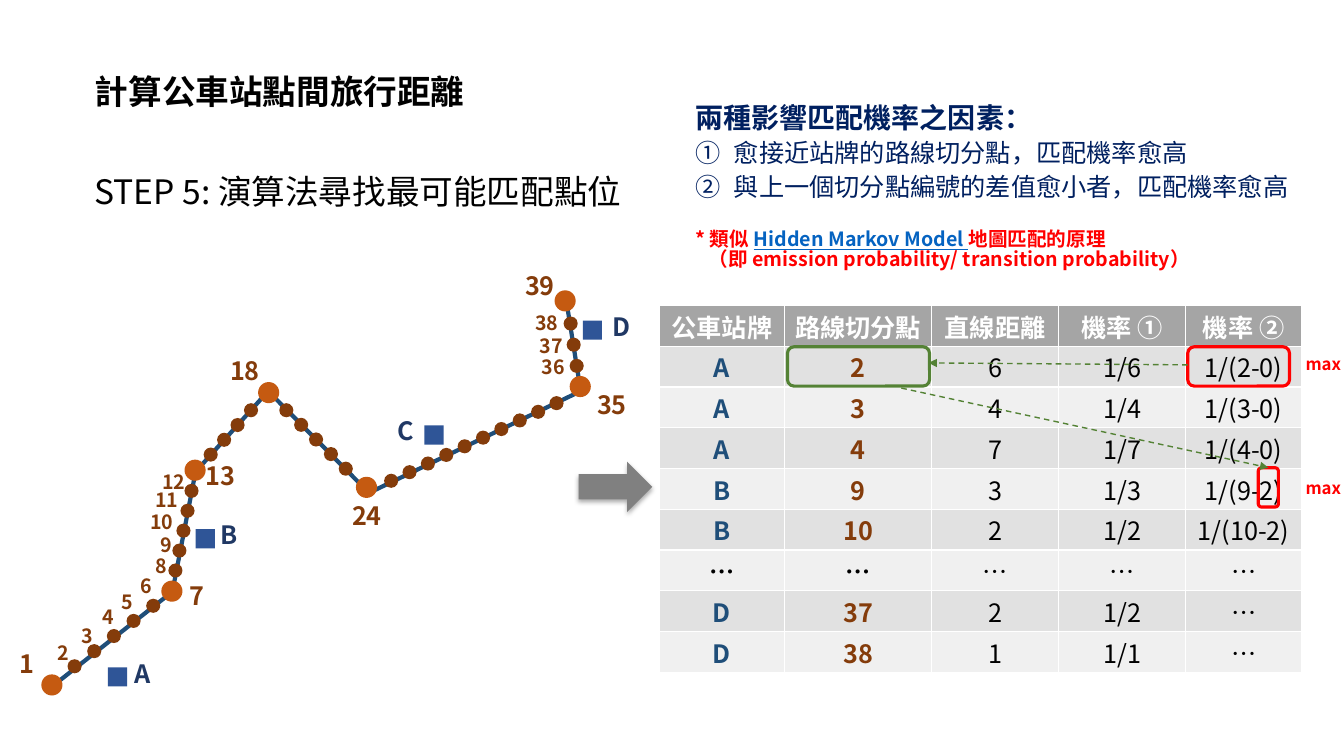
from dataclasses import dataclass

from lxml import etree
from pptx import Presentation
from pptx import util as u
from pptx.dml import color as colors
from pptx.enum import dml, shapes, text
from pptx.oxml import ns


@dataclass(frozen=True)
class Theme:
    font: str = "Noto Sans CJK SC"
    black: str = "000000"
    white: str = "FFFFFF"
    route: str = "1F4E79"
    node: str = "C55A11"
    point: str = "843C0B"
    stop: str = "2F5597"
    stop_label: str = "203864"
    navy: str = "002060"
    red: str = "FF0000"
    green: str = "548235"
    reference: str = "0563C1"
    arrow: str = "808080"
    header: str = "A5A5A5"
    bands: tuple = ("F0F0F0", "E1E1E1")
    heading: int = 24
    subheading: int = 20
    body: int = 18
    small: int = 14
    tiny: int = 12
    line_spacing: float = 0.84
    inset_top: float = 0.07
    inset_bottom: float = 0.03


def assign(target, values):
    for name, value in values.items():
        setattr(target, name, value)


def add_xml(parent, tag, **attributes):
    child = etree.SubElement(parent, ns.qn(tag))
    for name, value in attributes.items():
        child.set(name, str(value))
    return child


class SlideBuilder:
    def __init__(self, presentation, theme):
        self.theme = theme
        self.slide = presentation.slides.add_slide(presentation.slide_layouts[5])

    def place(self, shape, box):
        assign(shape, dict(zip(("left", "top", "width", "height"), map(u.Inches, box))))

    def add_runs(self, paragraph, runs, size, color, bold=False, align=text.PP_ALIGN.LEFT):
        assign(paragraph, {"alignment": align, "line_spacing": self.theme.line_spacing})
        for words, override in runs:
            style = {"size": size, "color": color, "bold": bold, "underline": False, **override}
            run = paragraph.add_run()
            run.text = words
            run.font.color.rgb = colors.RGBColor.from_string(style["color"])
            assign(run.font, {"name": self.theme.font, "size": u.Pt(style["size"]),
                              "bold": style["bold"], "underline": style["underline"]})
            add_xml(run.font._element, "a:ea", typeface=self.theme.font)

    def frame(self, shape, wrap=True):
        assign(shape.text_frame, {
            "word_wrap": wrap, "auto_size": text.MSO_AUTO_SIZE.SHAPE_TO_FIT_TEXT,
            "vertical_anchor": text.MSO_ANCHOR.TOP,
            "margin_left": u.Inches(0.1), "margin_right": u.Inches(0.1),
            "margin_top": u.Inches(self.theme.inset_top),
            "margin_bottom": u.Inches(self.theme.inset_bottom)})
        return shape.text_frame

    def title(self, box, words):
        shape = self.slide.shapes.title
        self.place(shape, box)
        paragraph = self.frame(shape, wrap=False).paragraphs[0]
        self.add_runs(paragraph, [(words, {})], self.theme.heading, self.theme.black, True)

    def text(self, box, paragraphs, size, color, **style):
        shape = self.slide.shapes.add_textbox(*map(u.Inches, box))
        frame = self.frame(shape)
        for index, runs in enumerate(paragraphs):
            paragraph = frame.add_paragraph() if index else frame.paragraphs[0]
            self.add_runs(paragraph, runs, size, color, **style)
        return frame.paragraphs

    def label(self, box, words, size, color):
        self.text(box, [[(words, {})]], size, color, bold=True, align=text.PP_ALIGN.CENTER)

    def shape(self, kind, box, fill=None, line=None):
        shape = self.slide.shapes.add_shape(kind, *map(u.Inches, box))
        shape.shadow.inherit = False
        if fill:
            shape.fill.solid()
            shape.fill.fore_color.rgb = colors.RGBColor.from_string(fill)
        else:
            shape.fill.background()
        if line:
            shape.line.color.rgb = colors.RGBColor.from_string(line)
            shape.line.width = u.Pt(2.25)
        else:
            shape.line.fill.background()
        return shape

    def line(self, start, end, color, width, arrow=False):
        points = map(u.Inches, (*start, *end))
        connector = self.slide.shapes.add_connector(shapes.MSO_CONNECTOR.STRAIGHT, *points)
        connector.line.color.rgb = colors.RGBColor.from_string(color)
        connector.line.width = u.Pt(width)
        if arrow:
            connector.line.dash_style = dml.MSO_LINE.DASH
            add_xml(connector.line._ln, "a:tailEnd", type="triangle")
        add_xml(connector._element.spPr, "a:effectLst")

    def shadow(self, shape):
        effects = shape._element.spPr.find(ns.qn("a:effectLst"))
        outer = add_xml(effects, "a:outerShdw", blurRad=u.Pt(3.5), dist=u.Pt(2.2),
                        dir=5400000, algn="t", rotWithShape=0)
        add_xml(add_xml(outer, "a:srgbClr", val=self.theme.black), "a:alpha", val=32000)

    def table(self, box, widths, rows):
        theme = self.theme
        table = self.slide.shapes.add_table(len(rows), len(widths), *map(u.Inches, box)).table
        for column, width in zip(table.columns, widths):
            column.width = u.Inches(width)
        for row_index, values in enumerate(rows):
            table.rows[row_index].height = u.Inches(box[3] / len(rows))
            for column_index, value in enumerate(values):
                cell = table.cell(row_index, column_index)
                assign(cell, {"margin_top": u.Inches(theme.inset_top),
                              "margin_bottom": u.Inches(theme.inset_bottom),
                              "vertical_anchor": text.MSO_ANCHOR.MIDDLE})
                fill, color = theme.bands[row_index % 2], theme.black
                if row_index == 0:
                    fill, color = theme.header, theme.white
                elif value != "…" and column_index < 2:
                    color = (theme.route, theme.point)[column_index]
                cell.fill.solid()
                cell.fill.fore_color.rgb = colors.RGBColor.from_string(fill)
                self.add_runs(cell.text_frame.paragraphs[0], [(value, {})], theme.body, color,
                              row_index == 0 or column_index < 2, text.PP_ALIGN.CENTER)


ROUTE = [(0.53, 6.8), (1.71, 5.87), (1.94, 4.68), (2.66, 3.88),
         (3.66, 4.89), (5.76, 3.88), (5.61, 2.94)]
NODES = [(0.41, 6.69), (1.6, 5.76), (1.83, 4.56), (2.56, 3.79),
         (3.53, 4.73), (5.65, 3.73), (5.5, 2.88)]
NODE_LABELS = {"1": (0.09, 6.41, 0.36), "7": (1.77, 5.74, 0.36), "13": (1.91, 4.55, 0.56),
               "18": (2.13, 3.5, 0.6), "24": (3.38, 4.94, 0.52), "35": (5.77, 3.84, 0.6),
               "39": (5.05, 2.66, 0.61)}
POINT_RUNS = [((0.67, 6.54), (1.45, 5.94), 5), ((1.67, 5.59), (1.83, 4.8), 5),
              ((2.02, 4.44), (2.42, 4), 4), ((2.77, 4), (3.36, 4.58), 5),
              ((3.81, 4.7), (5.45, 3.93), 10), ((5.65, 3.56), (5.59, 3.14), 3)]
POINT_LABELS = {"2": (0.45, 6.33), "3": (0.69, 6.16), "4": (0.89, 5.97), "5": (1.08, 5.82),
                "6": (1.27, 5.66), "8": (1.42, 5.46), "9": (1.47, 5.25), "10": (1.38, 5.03),
                "11": (1.43, 4.81), "12": (1.5, 4.63), "38": (5.2, 3.05),
                "37": (5.24, 3.28), "36": (5.26, 3.49)}
STOPS = {"A": ((1.07, 6.62), (1.23, 6.51)), "B": ((1.94, 5.25), (2.09, 5.13)),
         "C": ((4.21, 4.22), (3.84, 4.1)), "D": ((5.78, 3.18), (5.98, 3.07))}
MATCHES = [
    ("公車站牌", "路線切分點", "直線距離", "機率 ①", "機率 ②"),
    ("A", "2", "6", "1/6", "1/(2-0)"),
    ("A", "3", "4", "1/4", "1/(3-0)"),
    ("A", "4", "7", "1/7", "1/(4-0)"),
    ("B", "9", "3", "1/3", "1/(9-2)"),
    ("B", "10", "2", "1/2", "1/(10-2)"),
    ("…", "…", "…", "…", "…"),
    ("D", "37", "2", "1/2", "…"),
    ("D", "38", "1", "1/1", "…"),
]


def draw_route(builder, theme):
    kinds = shapes.MSO_SHAPE
    for start, end in zip(ROUTE, ROUTE[1:]):
        builder.line(start, end, theme.route, 3)
    for node in NODES:
        builder.shape(kinds.OVAL, (*node, 0.21, 0.21), theme.node)
    for words, box in NODE_LABELS.items():
        builder.label((*box, 0.4), words, theme.body, theme.point)
    for first, last, count in POINT_RUNS:
        for index in range(count):
            spot = [a + (b - a) * index / (count - 1) for a, b in zip(first, last)]
            builder.shape(kinds.OVAL, (*spot, 0.14, 0.14), theme.point)
    for words, spot in POINT_LABELS.items():
        width = 0.36 if len(words) == 1 else 0.45
        builder.label((*spot, width, 0.34), words, theme.small, theme.point)
    for words, (square, spot) in STOPS.items():
        builder.shape(kinds.RECTANGLE, (*square, 0.19, 0.19), theme.stop)
        builder.label((*spot, 0.36, 0.4), words, theme.body, theme.stop_label)


def draw_factors(builder, theme):
    plain = {"size": theme.body, "bold": False}
    paragraphs = builder.text((6.8, 0.98, 6.37, 1.21), [
        [("兩種影響匹配機率之因素：", {"bold": True})],
        [("愈接近站牌的路線切分點，匹配機率愈高", plain)],
        [("與上一個切分點編號的差值愈小者，匹配機率愈高", plain)],
    ], theme.subheading, theme.navy)
    for paragraph in paragraphs[1:]:
        paragraph.space_before = u.Pt(6)
        properties = paragraph._p.get_or_add_pPr()
        properties.set("marL", str(u.Inches(0.38)))
        properties.set("indent", str(-u.Inches(0.38)))
        add_xml(properties, "a:buAutoNum", type="circleNumWdWhitePlain")
    note = builder.text((6.8, 2.22, 6.37, 0.57), [
        [("* 類似 ", {}),
         ("Hidden Markov Model ", {"color": theme.reference, "underline": True}),
         ("地圖匹配的原理", {})],
        [("（即 emission probability/ transition probability）", {})],
    ], theme.small, theme.red, bold=True)
    note[1]._p.get_or_add_pPr().set("marL", str(u.Inches(0.13)))


def draw_matches(builder, theme):
    kinds = shapes.MSO_SHAPE
    arrow = builder.shape(kinds.RIGHT_ARROW, (5.74, 4.58, 0.73, 0.5), theme.arrow)
    builder.shadow(arrow)
    builder.table((6.54, 3.03, 6.36, 3.64), (1.24, 1.46, 1.26, 1.26, 1.15), MATCHES)
    for box, color in (((11.78, 3.44, 1.01, 0.39), theme.red),
                       ((12.48, 4.64, 0.2, 0.39), theme.red),
                       ((7.81, 3.44, 1.41, 0.39), theme.green)):
        builder.shape(kinds.ROUNDED_RECTANGLE, box, line=color)
    for start, end in (((8.94, 3.85), (12.58, 4.64)), ((11.78, 3.62), (9.21, 3.6))):
        builder.line(start, end, theme.green, 1, arrow=True)
    for top in (3.47, 4.7):
        builder.text((12.85, top, 0.62, 0.3), [[("max", {})]], theme.tiny, theme.red, bold=True)


def main():
    theme = Theme()
    presentation = Presentation()
    assign(presentation, {"slide_width": u.Inches(13.33), "slide_height": u.Inches(7.5)})
    builder = SlideBuilder(presentation, theme)
    builder.title((0.84, 0.7, 3.9, 0.5), "計算公車站點間旅行距離")
    builder.text((0.84, 1.69, 11.56, 0.5), [[("STEP 5: 演算法尋找最可能匹配點位", {})]],
                 theme.heading, theme.black)
    draw_route(builder, theme)
    draw_factors(builder, theme)
    draw_matches(builder, theme)
    presentation.save("out.pptx")


if __name__ == "__main__":
    main()
